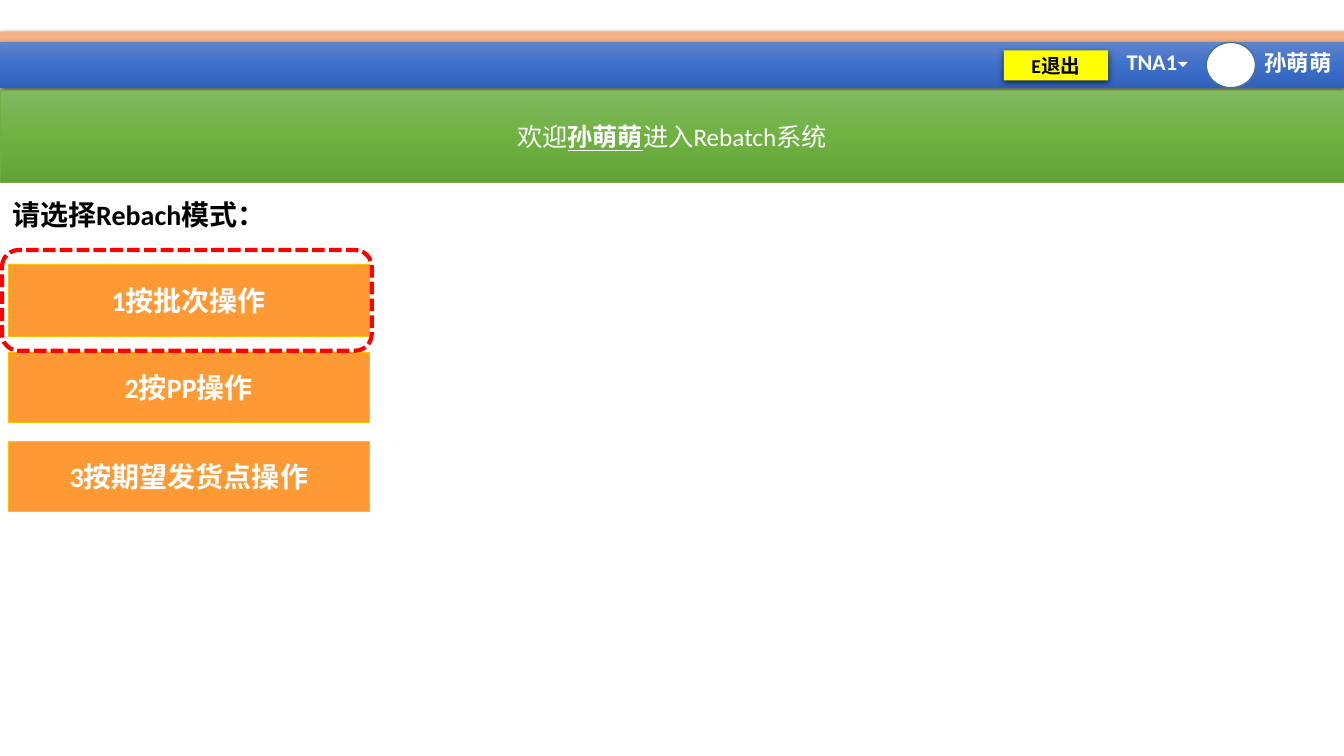
import pptx
import pptx.util
import pptx.dml.color
import pptx.enum.dml
import pptx.enum.shapes
import pptx.enum.text
import pptx.oxml.ns
from lxml import etree
from pptx.util import Cm

COLORS = {
    "white": "FFFFFF", "black": "000000", "peach": "F4B183", "yellow": "FFFF00",
    "orange": "FF9933", "gold": "FFC000", "green": "70AD47", "blue": "43739E",
    "red": "FF0000",
}
BLUE_GRADIENT = ["6183CB", "3E70CA", "3062BB"]
GREEN_GRADIENT = ["81B861", "6FB242", "62A336"]
SHAPES = pptx.enum.shapes.MSO_SHAPE
ALIGN = pptx.enum.text.PP_ALIGN
ANCHOR = pptx.enum.text.MSO_ANCHOR
WIDTH = 33.87


def rgb(name):
    return pptx.dml.color.RGBColor.from_string(COLORS[name])


def add_xml(parent, tag, **attributes):
    return etree.SubElement(parent, pptx.oxml.ns.qn(tag), **attributes)


def write_text(shape, *runs, size=20, color="white", bold=True, align=ALIGN.CENTER,
               anchor=ANCHOR.MIDDLE, wrap=True):
    """Each run is a string, or a (string, format changes) pair."""
    frame = shape.text_frame
    frame.word_wrap = wrap
    frame.vertical_anchor = anchor
    paragraph = frame.paragraphs[0]
    paragraph.alignment = align
    for item in runs:
        text, changes = (item, {}) if isinstance(item, str) else item
        run = paragraph.add_run()
        run.text = text
        run.font.name = "Calibri"
        run.font.size = pptx.util.Pt(size)
        run.font.color.rgb = rgb(color)
        run.font.bold = changes.get("bold", bold)
        run.font.underline = changes.get("underline", False)


def add_shadow(shape):
    effects = shape._element.spPr.find(pptx.oxml.ns.qn("a:effectLst"))
    shadow = add_xml(effects, "a:outerShdw", blurRad="57150", dist="19050",
                     dir="5400000", algn="ctr", rotWithShape="0")
    color = add_xml(shadow, "a:srgbClr", val=COLORS["black"])
    add_xml(color, "a:alpha", val="63000")


def fill_gradient(shape, stops):
    shape.fill.gradient()
    shape.fill.gradient_angle = 270
    stop_list = shape._element.spPr.find(".//" + pptx.oxml.ns.qn("a:gsLst"))
    for old_stop in list(stop_list):
        stop_list.remove(old_stop)
    for index, stop_color in enumerate(stops):
        stop = add_xml(stop_list, "a:gs", pos=str(index * 50000))
        add_xml(stop, "a:srgbClr", val=stop_color)


def add_box(slide, left, top, width, height, kind=SHAPES.RECTANGLE, fill=None,
            gradient=None, line=None, line_width=0.5, shadow=False):
    shape = slide.shapes.add_shape(kind, Cm(left), Cm(top), Cm(width), Cm(height))
    shape.shadow.inherit = False
    if gradient:
        fill_gradient(shape, gradient)
    elif fill:
        shape.fill.solid()
        shape.fill.fore_color.rgb = rgb(fill)
    else:
        shape.fill.background()
    if line:
        shape.line.color.rgb = rgb(line)
        shape.line.width = pptx.util.Pt(line_width)
    else:
        shape.line.fill.background()
    if shadow:
        add_shadow(shape)
    return shape


def add_label(slide, text, left, top, width, height):
    label = slide.shapes.add_textbox(Cm(left), Cm(top), Cm(width), Cm(height))
    write_text(label, text, size=16, align=ALIGN.LEFT, anchor=ANCHOR.TOP, wrap=False)


def add_header(slide):
    add_box(slide, 0, 0.79, WIDTH, 0.28, fill="peach", shadow=True)
    add_box(slide, 0, 1.07, WIDTH, 1.14, gradient=BLUE_GRADIENT, shadow=True)

    # User name, avatar and site menu
    add_label(slide, "孙萌萌", 31.62, 1.12, 2.24, 0.94)
    add_box(slide, 30.4, 1.07, 1.24, 1.14, SHAPES.OVAL, fill="white",
            line="blue", line_width=1)
    add_label(slide, "TNA1", 28.14, 1.09, 1.8, 0.94)
    menu_arrow = add_box(slide, 29.72, 1.47, 0.18, 0.18, SHAPES.RIGHT_TRIANGLE,
                         fill="white")
    menu_arrow.rotation = 314.5

    exit_button = add_box(slide, 25.3, 1.27, 2.62, 0.76, fill="yellow", shadow=True)
    write_text(exit_button, "E退出", size=14, color="black")


def add_welcome(slide):
    banner = add_box(slide, 0, 2.29, WIDTH, 2.31, gradient=GREEN_GRADIENT, line="green")
    write_text(banner, "欢迎", ("孙萌萌", {"bold": True, "underline": True}),
               "进入Rebatch系统", size=18, bold=False)


def place_title(slide):
    title = slide.shapes.title
    title.left, title.top, title.width, title.height = Cm(0.05), Cm(4.85), Cm(9.83), Cm(1.12)
    write_text(title, "请选择Rebach模式：", color="black", align=ALIGN.LEFT,
               anchor=ANCHOR.TOP)
    title.text_frame.auto_size = pptx.enum.text.MSO_AUTO_SIZE.NONE


def add_modes(slide):
    modes = [("1按批次操作", 1.83), ("2按PP操作", 1.75), ("3按期望发货点操作", 1.75)]
    for index, (text, height) in enumerate(modes):
        button = add_box(slide, 0.2, 6.65 + index * 2.24, 9.12, height,
                         fill="orange", line="gold")
        write_text(button, text)

    # Dashed frame around the first mode
    frame = add_box(slide, 0.05, 6.3, 9.32, 2.54, SHAPES.ROUNDED_RECTANGLE,
                    line="red", line_width=3)
    frame.line.dash_style = pptx.enum.dml.MSO_LINE.SQUARE_DOT
    frame.line._ln.find(pptx.oxml.ns.qn("a:prstDash")).set("val", "sysDash")


def main():
    presentation = pptx.Presentation()
    presentation.slide_width = Cm(WIDTH)
    presentation.slide_height = Cm(19.05)
    slide = presentation.slides.add_slide(presentation.slide_layouts[5])
    add_header(slide)
    add_welcome(slide)
    place_title(slide)
    add_modes(slide)
    presentation.save("out.pptx")


if __name__ == "__main__":
    main()
